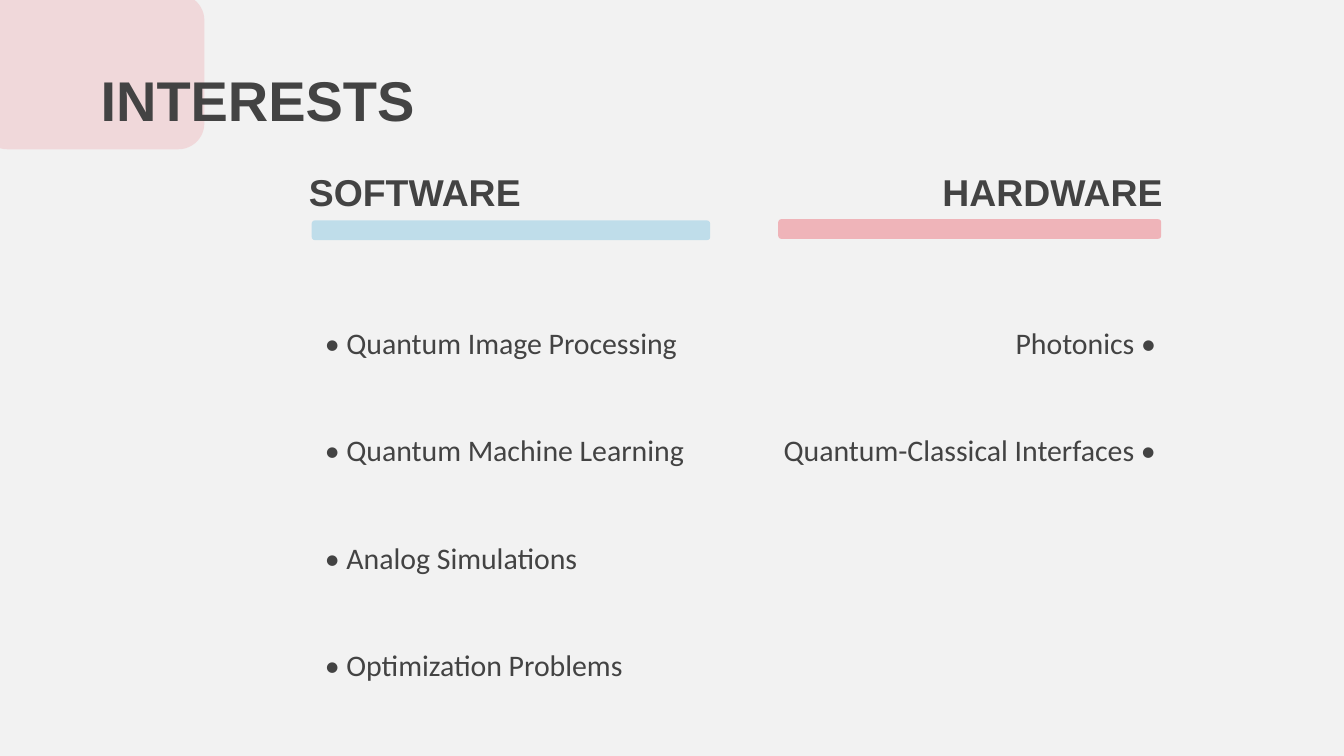
from dataclasses import dataclass

from lxml import etree
from pptx import Presentation
from pptx.dml.color import RGBColor
from pptx.enum.shapes import MSO_SHAPE
from pptx.enum.text import MSO_ANCHOR, PP_ALIGN
from pptx.oxml.ns import qn
from pptx.util import Pt

ROUNDED = MSO_SHAPE.ROUNDED_RECTANGLE
LEFT, RIGHT = PP_ALIGN.LEFT, PP_ALIGN.RIGHT
TOP, BOTTOM = MSO_ANCHOR.TOP, MSO_ANCHOR.BOTTOM
BLANK_LAYOUT = 6


@dataclass(frozen=True)
class Theme:
    background: str = "F2F2F2"
    ink: str = "434343"
    pink: str = "EE8C94"
    blue: str = "AED7E8"
    heading_font: str = "Arial"
    body_font: str = "Calibri"
    title_size: int = 30
    heading_size: int = 20
    body_size: int = 16


THEME = Theme()


def add_panel(page, bounds, color, opacity):
    """Rounded, borderless block with opacity in percent."""
    panel = page.shapes.add_shape(ROUNDED, *map(Pt, bounds))
    panel.shadow.inherit = False
    panel.adjustments[0] = 0.167
    panel.fill.solid()
    panel.fill.fore_color.rgb = RGBColor.from_string(color)
    panel.line.fill.background()
    color_node = panel.fill._xPr.find(qn("a:solidFill"))[0]
    etree.SubElement(color_node, qn("a:alpha"), val=str(opacity * 1000))


def add_text(page, bounds, lines, font, size, bold=False, align=LEFT,
             anchor=TOP, insets=(7.2, 7.2), spacing=1.0):
    """Text box with one paragraph per line; insets are side and top/bottom."""
    box = page.shapes.add_textbox(*map(Pt, bounds))
    frame = box.text_frame
    frame.word_wrap = True
    frame.vertical_anchor = anchor
    frame.margin_left = frame.margin_right = Pt(insets[0])
    frame.margin_top = frame.margin_bottom = Pt(insets[1])
    for index, line in enumerate(lines):
        para = frame.add_paragraph() if index else frame.paragraphs[0]
        para.alignment = align
        para.line_spacing = spacing
        span = para.add_run()
        span.text = line
        span.font.name = font
        span.font.size = Pt(size)
        span.font.bold = bold
        span.font.color.rgb = RGBColor.from_string(THEME.ink)


def add_heading(page, left, text, align):
    add_text(page, (left, 69.8, 221, 51.8), [text], THEME.heading_font,
             THEME.heading_size, bold=True, align=align, anchor=BOTTOM)


def add_topics(page, left, height, topics, align):
    add_text(page, (left, 131.8, 215.3, height), topics, THEME.body_font,
             THEME.body_size, align=align, insets=(7.2, 3.6), spacing=3.0)


def main():
    deck = Presentation()
    deck.slide_width, deck.slide_height = Pt(720), Pt(405)
    page = deck.slides.add_slide(deck.slide_layouts[BLANK_LAYOUT])
    page.background.fill.solid()
    page.background.fill.fore_color.rgb = RGBColor.from_string(THEME.background)

    # Title over the corner block
    add_panel(page, (-10, -3, 119.5, 83), THEME.pink, 25)
    add_text(page, (46.8, 28.1, 248.4, 99.4), ["INTERESTS"],
             THEME.heading_font, THEME.title_size, bold=True)

    # Software column
    add_heading(page, 158.4, "SOFTWARE", LEFT)
    add_panel(page, (167, 118.1, 213.5, 10.6), THEME.blue, 74)
    add_topics(page, 167, 229.7, [
        "• Quantum Image Processing",
        "• Quantum Machine Learning",
        "• Analog Simulations",
        "• Optimization Problems",
    ], LEFT)

    # Hardware column
    add_heading(page, 409, "HARDWARE", RIGHT)
    add_panel(page, (416.9, 117.4, 205.2, 10.6), THEME.pink, 60)
    add_topics(page, 411.1, 123.8, [
        "Photonics •",
        "Quantum-Classical Interfaces •",
    ], RIGHT)

    deck.save("out.pptx")


if __name__ == "__main__":
    main()
